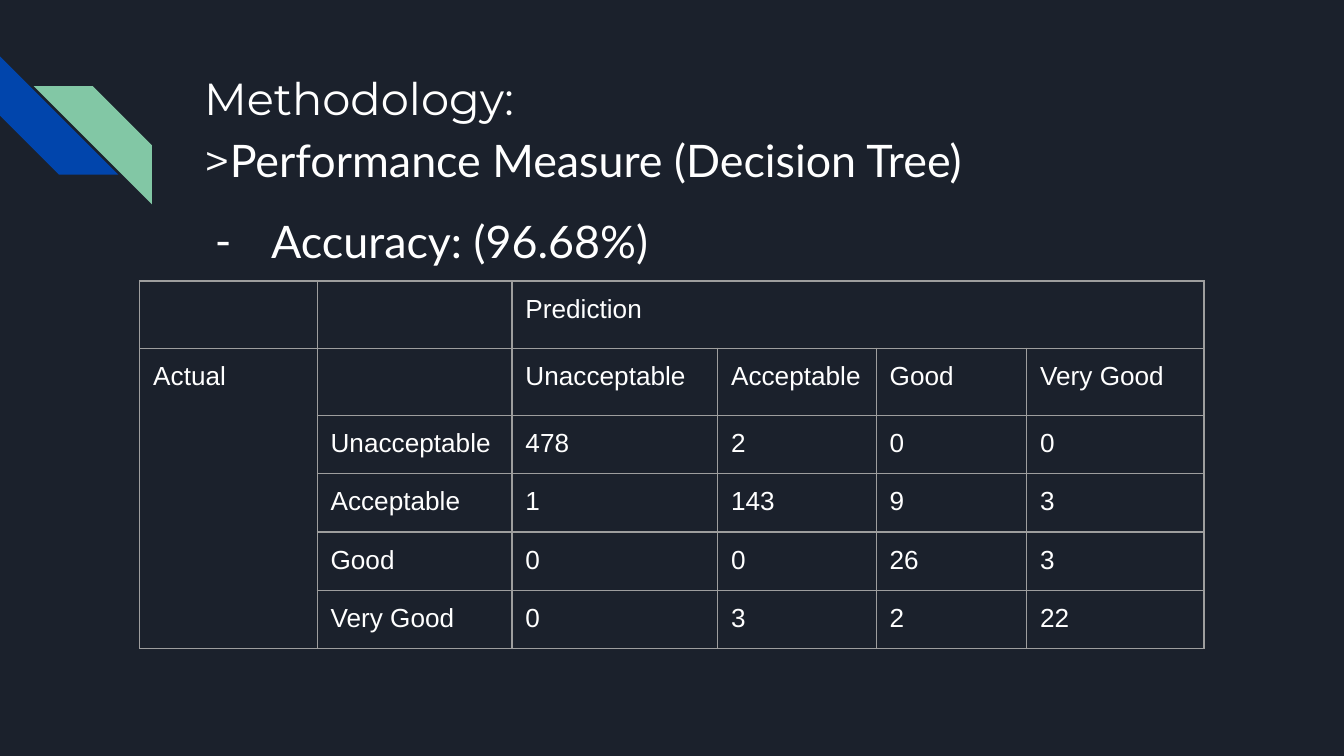
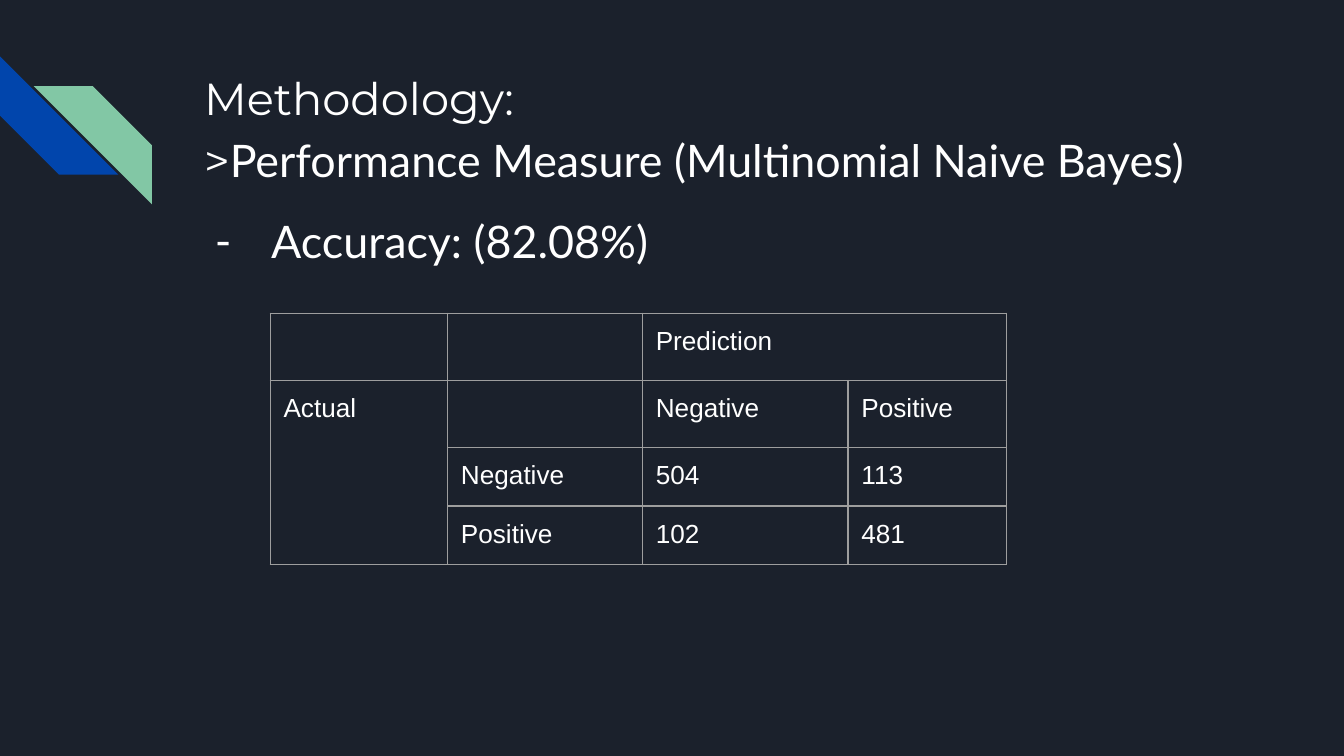
import dataclasses

import pptx
import pptx.dml.color
import pptx.enum.shapes
import pptx.oxml.ns
import pptx.util
from lxml import etree

Inches = pptx.util.Inches
Pt = pptx.util.Pt


@dataclasses.dataclass(frozen=True)
class Theme:
    back: str = "1B212C"
    blue: str = "0145AC"
    green: str = "82C7A5"
    text: str = "FFFFFF"
    rule: str = "9E9E9E"
    head: str = "Montserrat"
    body: str = "Lato"
    cell: str = "Arial"
    big: int = 24
    blank: int = 18
    small: int = 14
    line: float = 0.75
    inset: float = 0.1


THEME = Theme()
COLS = [1.32, 1.45, 1.53, 1.18, 1.12, 1.32]
ROW = 0.42
HEADS = 2  # leading rows and columns that hold headings


def color(code):
    return pptx.dml.color.RGBColor.from_string(code)


def style(item, form):
    for name, value in form.items():
        setattr(item, name, value)


def margins():
    sides = ("left", "top", "right", "bottom")
    return {f"margin_{side}": Inches(THEME.inset) for side in sides}


def add_run(para, text, font, size):
    run = para.add_run()
    run.text = text
    style(run.font, {"name": font, "size": Pt(size)})
    run.font.color.rgb = color(THEME.text)


def add_node(parent, tag, **attrs):
    return etree.SubElement(parent, pptx.oxml.ns.qn(tag), attrs)


def add_box(slide, box):
    frame = slide.shapes.add_textbox(*map(Inches, box)).text_frame
    style(frame, {"word_wrap": True, **margins()})
    return frame


# Corner stripes
def add_mark(slide, box):
    left, top, side = box
    stripes = [(0, 0, 270, THEME.blue), (0.25, 0.22, 90, THEME.green)]
    for dx, dy, turn, fill in stripes:
        shape = slide.shapes.add_shape(
            pptx.enum.shapes.MSO_SHAPE.DIAGONAL_STRIPE,
            Inches(left + dx), Inches(top + dy), Inches(side), Inches(side))
        shape.adjustments[0] = 0.5
        shape.rotation = turn
        shape.shadow.inherit = False
        shape.fill.solid()
        shape.fill.fore_color.rgb = color(fill)
        shape.line.fill.background()


# Two-line title
def add_title(slide, box, model):
    frame = add_box(slide, box)
    add_run(frame.paragraphs[0], "Methodology:", THEME.head, THEME.big)
    para = frame.add_paragraph()
    style(para, {"line_spacing": 1.15, "space_after": Pt(16)})
    add_run(para, ">", THEME.head, THEME.big)
    add_run(para, f"Performance Measure ({model})", THEME.body, THEME.big)


# Accuracy bullet
def add_score(slide, box, score):
    para = add_box(slide, box).paragraphs[0]
    para.line_spacing = 1.15
    props = para._p.get_or_add_pPr()
    indents = {"marL": Inches(0.5), "indent": Inches(-0.42)}
    for name, value in indents.items():
        props.set(name, str(int(value)))
    add_node(add_node(props, "a:buClr"), "a:srgbClr", val=THEME.text)
    add_node(props, "a:buFont", typeface=THEME.body)
    add_node(props, "a:buChar", char="-")
    add_run(para, f"Accuracy: ({score})", THEME.body, THEME.big)


def add_rules(cell):
    props = cell._tc.get_or_add_tcPr()
    for spot, tag in enumerate(("a:lnL", "a:lnR", "a:lnT", "a:lnB")):
        line = add_node(props, tag, w=str(int(Pt(THEME.line))))
        add_node(add_node(line, "a:solidFill"), "a:srgbClr", val=THEME.rule)
        props.insert(spot, line)


# A cell without text still sets the height of its row
def fill_cell(cell, value):
    style(cell, margins())
    cell.fill.background()
    add_rules(cell)
    para = cell.text_frame.paragraphs[0]
    if value != "":
        add_run(para, str(value), THEME.cell, THEME.small)
        return
    size = THEME.small if cell.is_spanned else THEME.blank
    mark = add_node(para._p, "a:endParaRPr", sz=str(size * 100))
    add_node(mark, "a:latin", typeface=THEME.cell)


# Confusion matrix
def add_matrix(slide, spot, names, counts):
    grid = [["", "", "Prediction"] + [""] * (len(names) - 1),
            ["Actual", "", *names]]
    grid += [["", name, *row] for name, row in zip(names, counts)]
    count = len(grid)
    side = Inches(3.28)
    frame = slide.shapes.add_table(
        count, count, *map(Inches, spot), side, side)
    table = frame.table
    style(table, {"first_row": False, "horz_banding": False})
    for col, width in zip(table.columns, COLS):
        col.width = Inches(width)
    for row in table.rows:
        row.height = Inches(ROW)
    style(frame, {"width": side, "height": side})
    last = count - 1
    table.cell(0, HEADS).merge(table.cell(0, last))
    table.cell(1, 0).merge(table.cell(last, 0))
    for r, line in enumerate(grid):
        for c, value in enumerate(line):
            fill_cell(table.cell(r, c), value)


def add_page(deck, model, score, spot, names, counts):
    slide = deck.slides.add_slide(deck.slide_layouts[6])
    add_mark(slide, (0, 0.42, 0.88))
    add_title(slide, (1.42, 0.43, 7.7, 1), model)
    add_score(slide, (1.42, 1.43, 7.7, 3.18), score)
    add_matrix(slide, spot, names, counts)


def main():
    deck = pptx.Presentation()
    wide = Inches(10)
    style(deck, {"slide_width": wide, "slide_height": wide * 9 // 16})
    fill = deck.slide_master.background.fill
    fill.solid()
    fill.fore_color.rgb = color(THEME.back)

    add_page(deck, "Decision Tree", "96.68%", (1.04, 2.09),
             ["Unacceptable", "Acceptable", "Good", "Very Good"],
             [[478, 2, 0, 0], [1, 143, 9, 3], [0, 0, 26, 3], [0, 3, 2, 22]])
    add_page(deck, "Multinomial Naive Bayes", "82.08%", (2.01, 2.33),
             ["Negative", "Positive"], [[504, 113], [102, 481]])
    deck.save("out.pptx")


if __name__ == "__main__":
    main()
